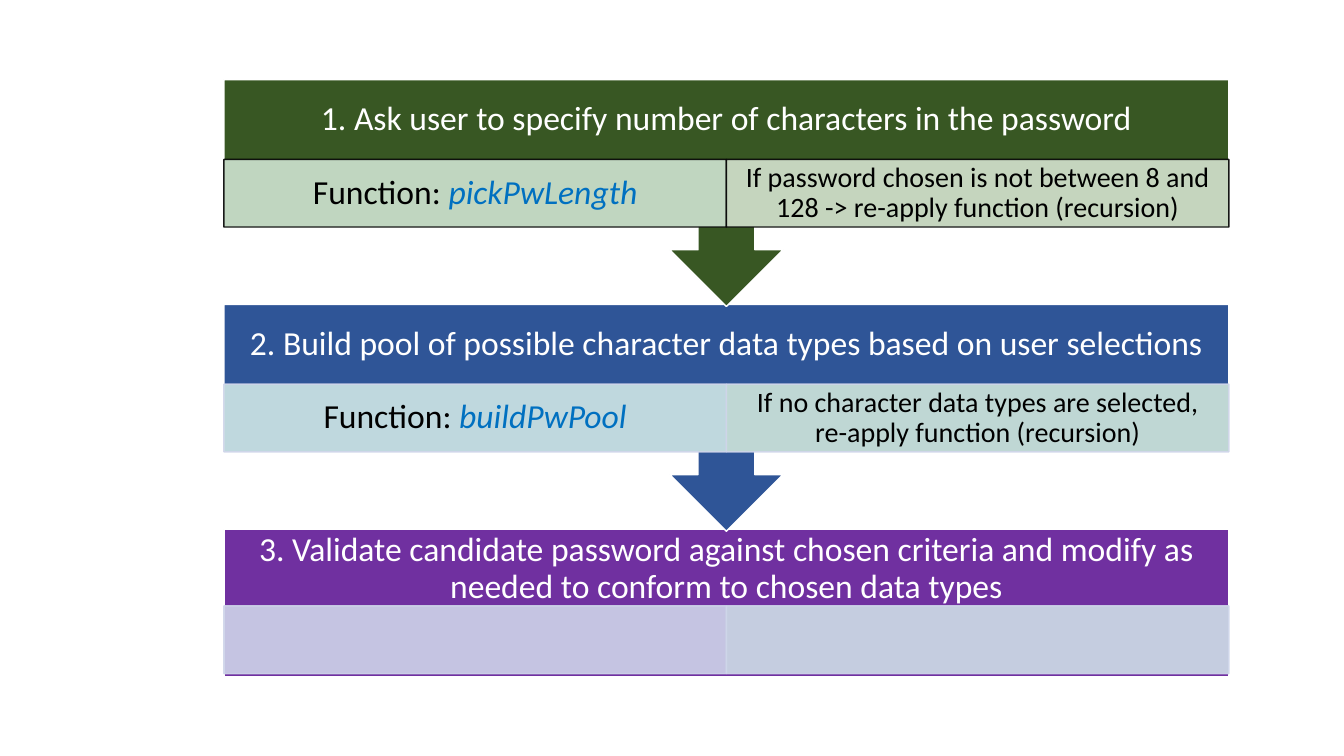
from lxml import etree
from pptx import Presentation
from pptx.dml.color import RGBColor
from pptx.enum.shapes import MSO_SHAPE
from pptx.enum.text import MSO_ANCHOR, PP_ALIGN
from pptx.oxml.ns import qn
from pptx.util import Pt

RECT, CALLOUT = MSO_SHAPE.RECTANGLE, MSO_SHAPE.UP_ARROW_CALLOUT
MIDDLE, CENTER = MSO_ANCHOR.MIDDLE, PP_ALIGN.CENTER

# Content: each cell is (text, function name)
STEPS = [
    {"title": "1. Ask user to specify number of characters in the password",
     "cells": [("Function: ", "pickPwLength"),
               ("If password chosen is not between 8 and 128 -> "
                "re-apply function (recursion)", "")]},
    {"title": "2. Build pool of possible character data types based on user selections",
     "cells": [("Function: ", "buildPwPool"),
               ("If no character data types are selected, "
                "re-apply function (recursion)", "")]},
    {"title": "3. Validate candidate password against chosen criteria and modify "
              "as needed to conform to chosen data types",
     "cells": [("", ""), ("", "")]},
]

# Theme: band, cell and cell border colours follow the order of the steps
THEME = {
    "font": "Calibri", "title_size": 24, "cell_sizes": (24, 20),
    "light": "FFFFFF", "dark": "000000", "function": "0070C0",
    "bands": ("385723", "2F5597", "7030A0"),
    "cells": (("CFE4D2", "D5E3CF"), ("CFE7E6", "CFE6DB"), ("CFD5EA", "CFDFE8")),
    "borders": ("000000", "CFD5EA", "CFD5EA"),
    "cell_opacity": 90,
}

# Layout in points
LEFT, TOP, WIDTH, PITCH = 159.9, 56.9, 717.9, 160.6
CALLOUT_H, LAST_H, TITLE_H = 162, 105.4, 56.9
CELL_W, CELL_H = WIDTH / 2, 48.4
CELL_DROP = (TITLE_H, TITLE_H, 54.7)
TITLE_PAD, CELL_PADS, CELL_PAD_Y = 13.5, (13.5, 11.5), 2.2


def rgb(color):
    return RGBColor.from_string(color)


def add_box(kind, x, y, w, h, fill, line, opacity=100):
    sp = s.shapes.add_shape(kind, Pt(x), Pt(y), Pt(w), Pt(h))
    sp.shadow.inherit = False
    sp.fill.solid()
    sp.fill.fore_color.rgb = rgb(fill)
    sp.line.color.rgb = rgb(line)
    sp.line.width = Pt(1)
    if opacity < 100:
        for color in sp._element.spPr.iter(qn("a:srgbClr")):
            etree.SubElement(color, qn("a:alpha"), val=str(opacity * 1000))
    return sp


def write(sp, runs, size, pad_x, pad_y):
    tf = sp.text_frame
    tf.word_wrap = True
    tf.vertical_anchor = MIDDLE
    tf.margin_left = tf.margin_right = Pt(pad_x)
    tf.margin_top = tf.margin_bottom = Pt(pad_y)
    p = tf.paragraphs[0]
    p.alignment = CENTER
    p.line_spacing = 0.9
    for text, color, italic in runs:
        if text:
            r = p.add_run()
            r.text = text
            r.font.name = THEME["font"]
            r.font.size = Pt(size)
            r.font.italic = italic
            r.font.color.rgb = rgb(color)


def add_step(i, step):
    y = TOP + i * PITCH
    # Band, with an arrow down to the next step
    is_last = i == len(STEPS) - 1
    kind, h = (RECT, LAST_H) if is_last else (CALLOUT, CALLOUT_H)
    band = add_box(kind, LEFT, y, WIDTH, h, THEME["bands"][i], THEME["light"])
    if not is_last:
        band.rotation = 180
    # Title
    title = s.shapes.add_textbox(Pt(LEFT), Pt(y), Pt(WIDTH), Pt(TITLE_H))
    write(title, [(step["title"], THEME["light"], False)],
          THEME["title_size"], TITLE_PAD, TITLE_PAD)
    # Function and rule cells
    for j, (text, function) in enumerate(step["cells"]):
        cell = add_box(RECT, LEFT + j * CELL_W, y + CELL_DROP[i], CELL_W, CELL_H,
                       THEME["cells"][i][j], THEME["borders"][i],
                       THEME["cell_opacity"])
        write(cell, [(text, THEME["dark"], False),
                     (function, THEME["function"], True)],
              THEME["cell_sizes"][j], CELL_PADS[j], CELL_PAD_Y)


prs = Presentation()
prs.slide_width, prs.slide_height = Pt(960), Pt(540)
s = prs.slides.add_slide(prs.slide_layouts[6])

# Last step first, so each arrow lies over the step below it
for i, step in reversed(list(enumerate(STEPS))):
    add_step(i, step)

prs.save("out.pptx")
